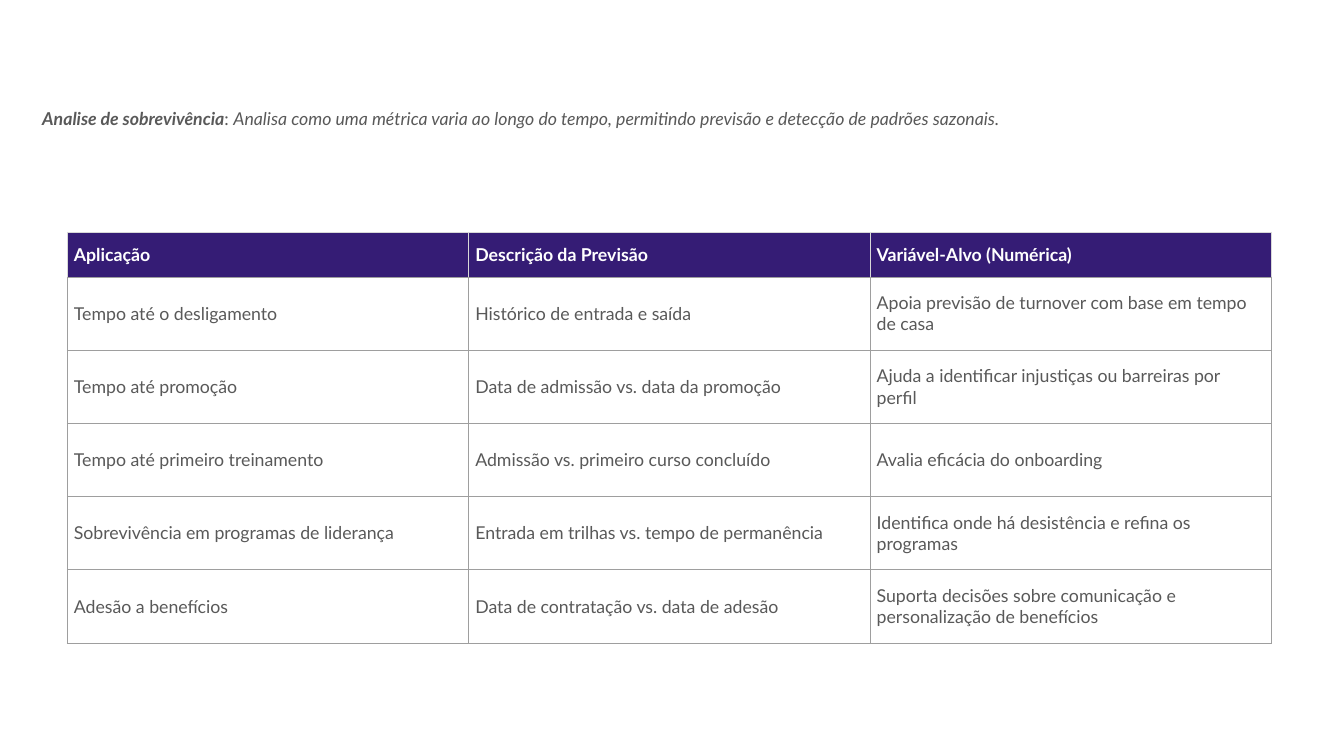
from lxml.etree import SubElement
from pptx import Presentation
from pptx.dml.color import RGBColor
from pptx.enum.text import MSO_ANCHOR, MSO_AUTO_SIZE
from pptx.oxml.ns import qn
from pptx.util import Inches, Pt

# Content
INTRO = [
    ("Analise de sobrevivência", {"bold": True, "italic": True}),
    (": ", {}),
    ("Analisa como uma métrica varia ao longo do tempo, permitindo previsão "
     "e detecção de padrões sazonais.", {"italic": True}),
]
ROWS = [
    ("Aplicação", "Descrição da Previsão", "Variável-Alvo (Numérica)"),
    ("Tempo até o desligamento", "Histórico de entrada e saída",
     "Apoia previsão de turnover com base em tempo de casa"),
    ("Tempo até promoção", "Data de admissão vs. data da promoção",
     "Ajuda a identificar injustiças ou barreiras por perfil"),
    ("Tempo até primeiro treinamento", "Admissão vs. primeiro curso concluído",
     "Avalia eficácia do onboarding"),
    ("Sobrevivência em programas de liderança",
     "Entrada em trilhas vs. tempo de permanência",
     "Identifica onde há desistência e refina os programas"),
    ("Adesão a benefícios", "Data de contratação vs. data de adesão",
     "Suporta decisões sobre comunicação e personalização de benefícios"),
]

# Format
TEXT, WHITE, PURPLE = "595959", "FFFFFF", "351C75"
GRID, HEADER_GRID = "9E9E9E", "D8D8D8"
HEADER_H, ROW_H = 0.67, 1.09
TABLE_W = 17.92
MARGINS = {f"margin_{side}": Inches(0.1)
           for side in ("left", "top", "right", "bottom")}


def rgb(value):
    return RGBColor.from_string(value)


def set_attrs(obj, values):
    for name, value in values.items():
        setattr(obj, name, value)


def add_run(p, text, color, **values):
    r = p.add_run()
    r.text = text
    set_attrs(r.font, {"name": "Lato", "size": Pt(19), "bold": False, **values})
    r.font.color.rgb = rgb(color)


def set_borders(cell, colors):
    tc_pr = cell._tc.get_or_add_tcPr()
    for side, color in zip("LRTB", colors):
        ln = SubElement(tc_pr, qn(f"a:ln{side}"), w=str(Pt(0.75)))
        fill = SubElement(ln, qn("a:solidFill"))
        SubElement(fill, qn("a:srgbClr"), val=color)


prs = Presentation()
prs.slide_width, prs.slide_height = Inches(20), Inches(11.25)
s = prs.slides.add_slide(prs.slide_layouts[6])

# Introductory sentence
tf = s.shapes.add_textbox(Inches(0.53), Inches(1.5),
                          Inches(18.68), Inches(0.52)).text_frame
set_attrs(tf, {**MARGINS, "word_wrap": True,
               "auto_size": MSO_AUTO_SIZE.SHAPE_TO_FIT_TEXT})
for text, values in INTRO:
    add_run(tf.paragraphs[0], text, TEXT, **values)

# Table of applications
heights = [HEADER_H] + [ROW_H] * (len(ROWS) - 1)
table = s.shapes.add_table(len(ROWS), len(ROWS[0]), Inches(1), Inches(3.45),
                           Inches(TABLE_W), Inches(sum(heights))).table
set_attrs(table, {"first_row": True, "horz_banding": False})
for row, height in zip(table.rows, heights):
    row.height = Inches(height)

for i, row in enumerate(ROWS):
    header = i == 0
    for j, text in enumerate(row):
        cell = table.cell(i, j)
        set_attrs(cell, {**MARGINS, "vertical_anchor": MSO_ANCHOR.MIDDLE})
        set_borders(cell, [HEADER_GRID] * 3 + [GRID] if header else [GRID] * 4)
        if header:
            cell.fill.solid()
            cell.fill.fore_color.rgb = rgb(PURPLE)
        else:
            cell.fill.background()
        add_run(cell.text_frame.paragraphs[0], text,
                WHITE if header else TEXT, bold=header)

prs.save("out.pptx")
